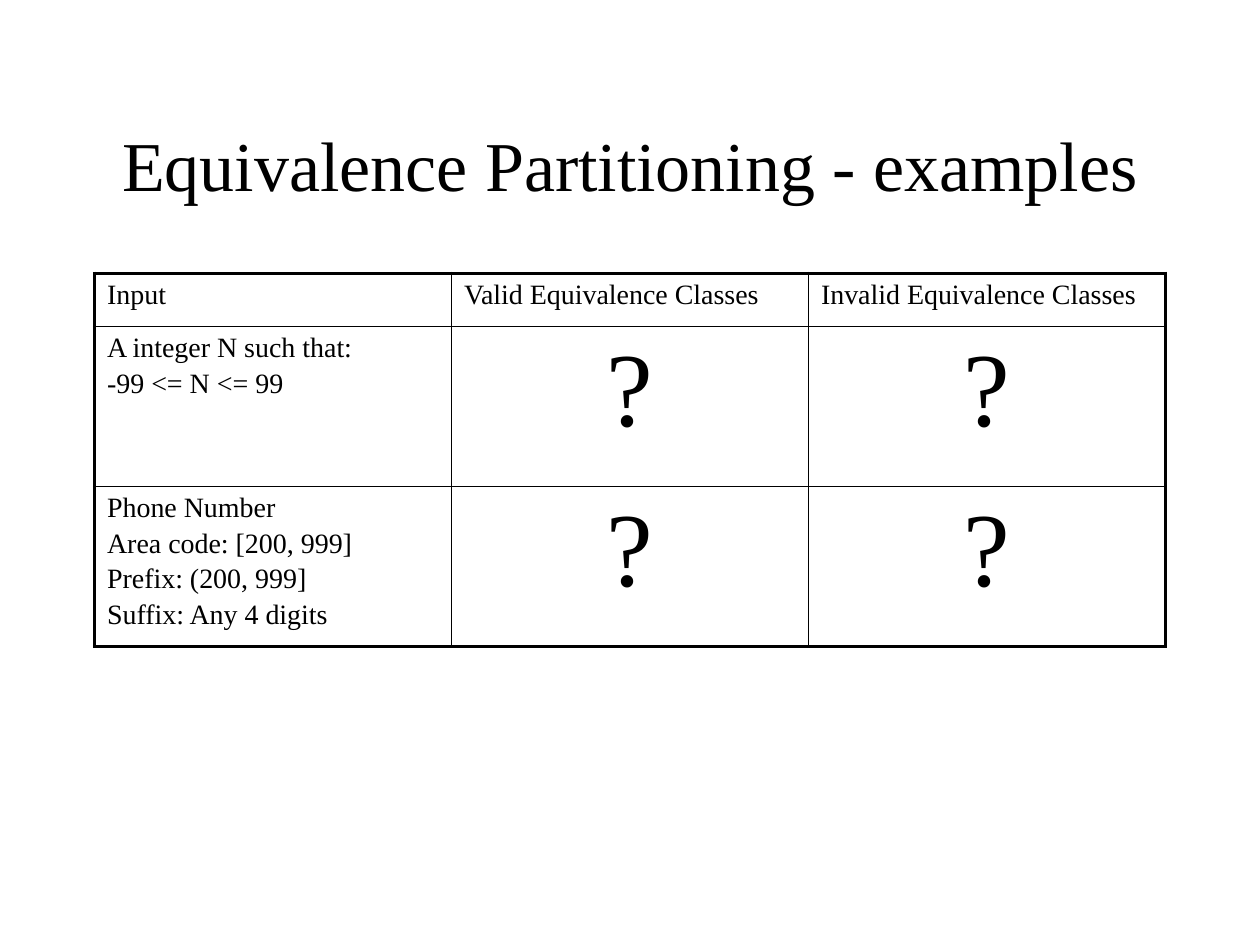
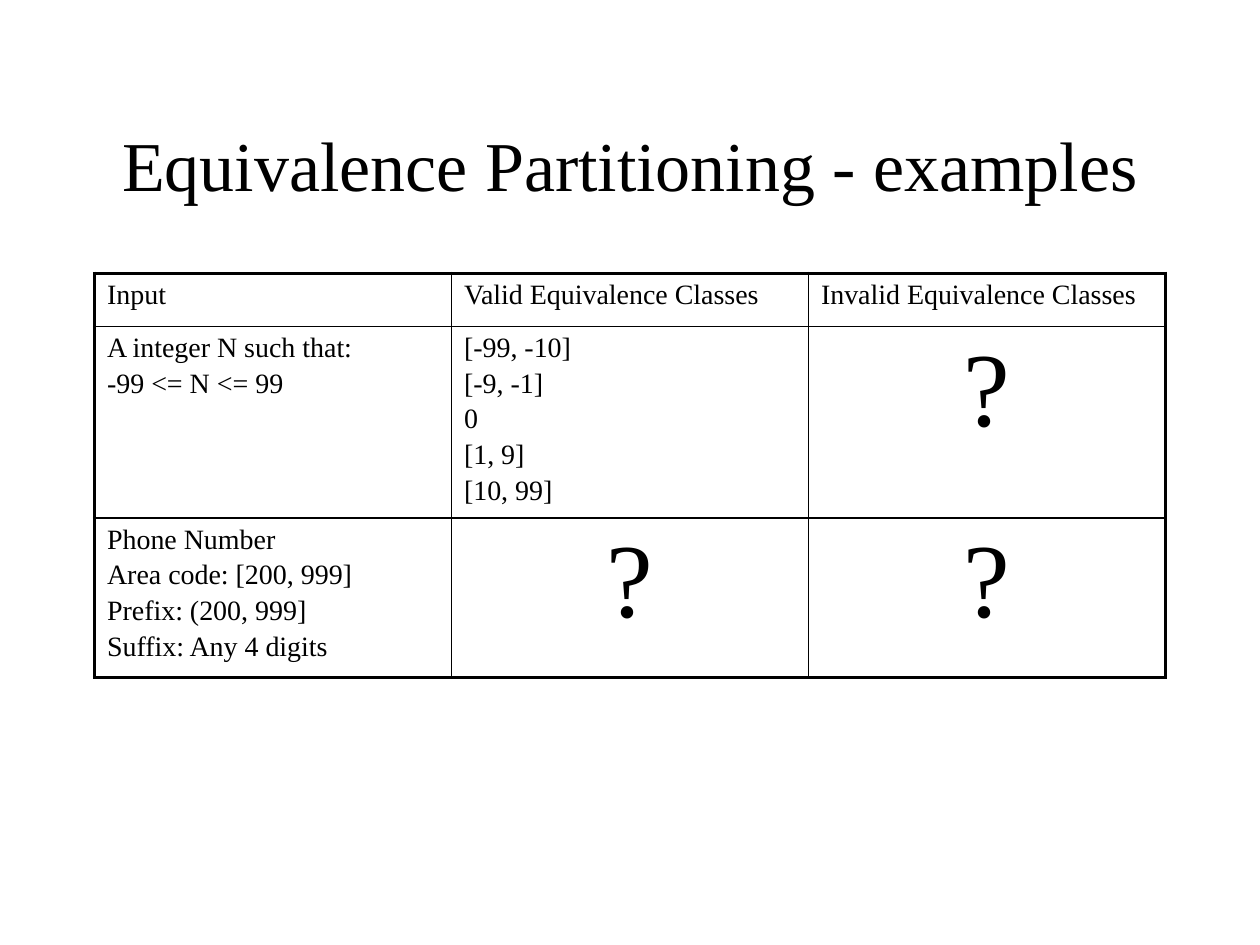
from lxml import etree
from pptx import Presentation
from pptx import util as u
from pptx.dml.color import RGBColor
from pptx.enum import text
from pptx.oxml import ns

COLORS = {"ink": "000000", "paper": "FFFFFF"}
TITLE = "Equivalence Partitioning - examples"
HEADER = ["Input", "Valid Equivalence Classes", "Invalid Equivalence Classes"]
INTEGER = ["A integer N such that:", "-99 <= N <= 99"]
PHONE = ["Phone Number", "Area code: [200, 999]", "Prefix: (200, 999]",
         "Suffix: Any 4 digits"]
INTEGER_CLASSES = ["[-99, -10]", "[-9, -1]", "0", "[1, 9]", "[10, 99]"]
OPEN = ["?"]


class SlideWriter:
    """Holds the shared style and the slide being written."""

    font_name = "Times New Roman"
    left, width = 0.75, 8.5
    outer_line, inner_line = 2.25, 1

    def __init__(self, deck):
        """Keep the deck that receives the slides."""
        self.deck = deck
        self.page = None

    def add_page(self, title):
        """Start a title-only slide on a plain background."""
        self.page = self.deck.slides.add_slide(self.deck.slide_layouts[5])
        background = self.page.background.fill
        background.solid()
        background.fore_color.rgb = RGBColor.from_string(COLORS["paper"])
        box = self.page.shapes.title
        box.left, box.top = u.Inches(self.left), u.Inches(0.67)
        box.width, box.height = u.Inches(self.width), u.Inches(1.25)
        box.text_frame.vertical_anchor = text.MSO_ANCHOR.MIDDLE
        box.text_frame.text = title
        self.style(box.text_frame.paragraphs[0], 40, text.PP_ALIGN.CENTER)

    def style(self, para, size, align):
        """Format one paragraph."""
        para.alignment = align
        para.font.name = self.font_name
        para.font.size = u.Pt(size)
        para.font.bold = False
        para.font.color.rgb = RGBColor.from_string(COLORS["ink"])

    def border(self, cell, side, points):
        """Draw one side (L, R, T or B) of a cell."""
        line = etree.SubElement(cell._tc.get_or_add_tcPr(), ns.qn("a:ln" + side),
                                w=str(u.Pt(points)))
        fill = etree.SubElement(line, ns.qn("a:solidFill"))
        etree.SubElement(fill, ns.qn("a:srgbClr"), val=COLORS["ink"])

    def fill_cell(self, cell, lines):
        """Write lines into a cell; an open question is large and centred."""
        is_open = lines == OPEN
        size = 60 if is_open else 16
        align = text.PP_ALIGN.CENTER if is_open else text.PP_ALIGN.LEFT
        cell.text_frame.text = "\n".join(lines)
        for index, para in enumerate(cell.text_frame.paragraphs):
            self.style(para, size, align)
            para.space_before = u.Pt(2.6 if index else 0)

    def add_table(self, rows, heights):
        """Add a table of equal columns with a heavy outer frame."""
        last_row, last_col = len(rows) - 1, len(rows[0]) - 1
        table = self.page.shapes.add_table(
            len(rows), len(rows[0]), u.Inches(self.left), u.Inches(2.17),
            u.Inches(self.width), u.Inches(sum(heights))).table
        table.first_row = table.horz_banding = False
        for r, (row, height) in enumerate(zip(rows, heights)):
            table.rows[r].height = u.Inches(height)
            for c, lines in enumerate(row):
                cell = table.cell(r, c)
                outer_sides = {"L": c == 0, "R": c == last_col,
                               "T": r == 0, "B": r == last_row}
                for side, is_outer in outer_sides.items():
                    self.border(cell, side,
                                self.outer_line if is_outer else self.inner_line)
                cell.fill.background()
                self.fill_cell(cell, lines)


deck = Presentation()
deck.slide_width, deck.slide_height = u.Inches(10), u.Inches(7.5)
writer = SlideWriter(deck)
for integer_classes, integer_height in [(OPEN, 1.27), (INTEGER_CLASSES, 1.52)]:
    writer.add_page(TITLE)
    writer.add_table([[[label] for label in HEADER],
                      [INTEGER, integer_classes, OPEN],
                      [PHONE, OPEN, OPEN]],
                     [0.42, integer_height, 1.27])
deck.save("out.pptx")
